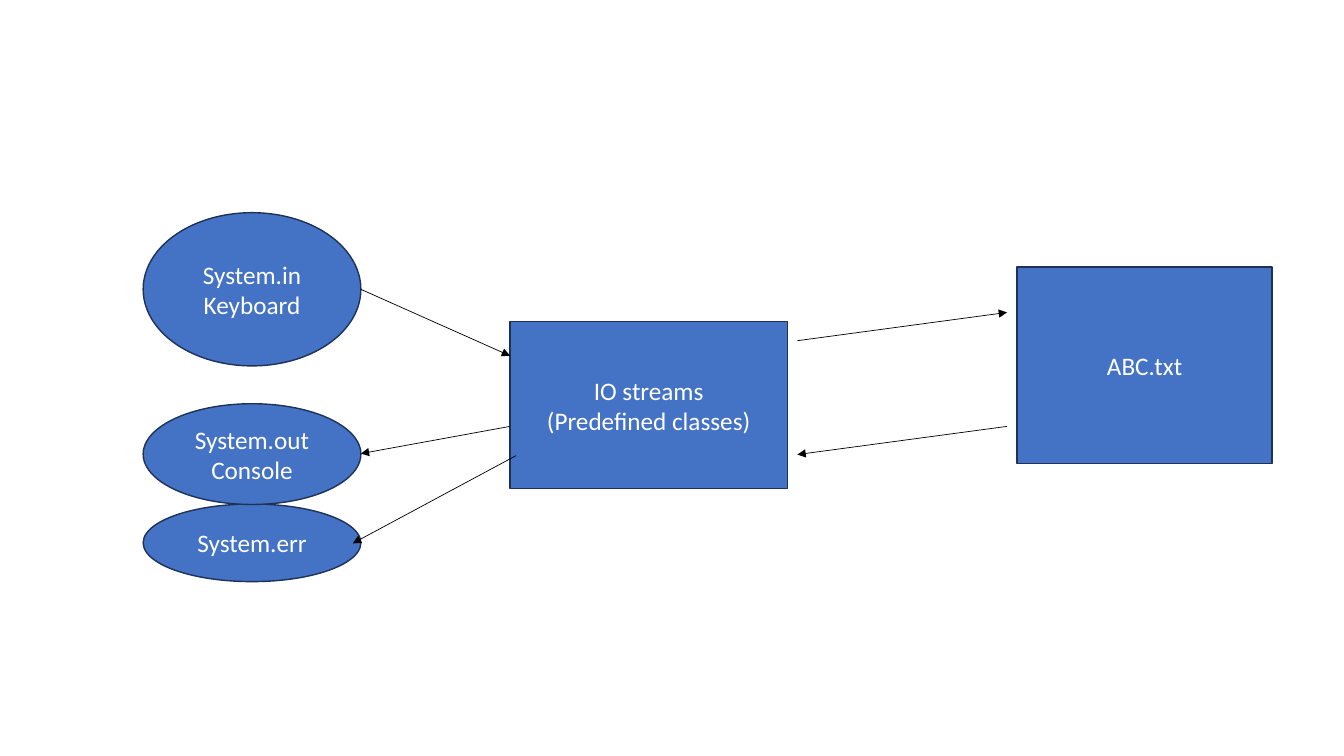
from dataclasses import dataclass

from lxml.etree import SubElement
from pptx import Presentation
from pptx.dml.color import RGBColor
from pptx.enum.shapes import MSO_CONNECTOR as Link, MSO_SHAPE as Form
from pptx.enum.text import MSO_ANCHOR as Anchor, PP_ALIGN as Align
from pptx.oxml.ns import qn
from pptx.slide import Slide
from pptx.util import Inches, Pt

WIDE, HIGH = Inches(13.33), Inches(7.5)
LEFT, SPAN = 10.65, 16.2
EDGE = LEFT + SPAN
HUB = 37.95
NEAR, FAR = 59.33, 74.93


@dataclass(frozen=True)
class Node:
    text: str
    form: Form
    left: float
    top: float
    width: float
    height: float


@dataclass(frozen=True)
class Arrow:
    start: tuple[float, float]
    end: tuple[float, float]


NODES = [
    Node("IO streams\n(Predefined classes)", Form.RECTANGLE, HUB, 42.53, 20.63, 22.13),
    Node("System.in\nKeyboard", Form.OVAL, LEFT, 28.13, SPAN, 20.27),
    Node("System.err", Form.OVAL, LEFT, 66.67, SPAN, 10.27),
    Node("System.out\nConsole", Form.OVAL, LEFT, 53.4, SPAN, 13.33),
    Node("ABC.txt", Form.RECTANGLE, 75.68, 35.33, 18.98, 26),
]

ARROWS = [
    Arrow((EDGE, 38.27), (HUB, 47.07)),
    Arrow((HUB, 56.4), (EDGE, 60)),
    Arrow((38.4, 60.27), (26.25, 71.87)),
    Arrow((NEAR, 45.07), (FAR, 41.33)),
    Arrow((FAR, 56.4), (NEAR, 60.13)),
]


def color(code: str) -> RGBColor:
    return RGBColor.from_string(code)


def across(share: float) -> int:
    return round(WIDE * share / 100)


def down(share: float) -> int:
    return round(HIGH * share / 100)


def draw_node(slide: Slide, node: Node) -> None:
    shape = slide.shapes.add_shape(
        node.form, across(node.left), down(node.top), across(node.width), down(node.height)
    )
    shape.shadow.inherit = False
    shape.fill.solid()
    shape.fill.fore_color.rgb = color("4472C4")
    shape.line.color.rgb = color("1E3256")
    shape.line.width = Pt(1)
    frame = shape.text_frame
    frame.text = node.text
    frame.word_wrap = True
    frame.vertical_anchor = Anchor.MIDDLE
    for para in frame.paragraphs:
        para.alignment = Align.CENTER
        for run in para.runs:
            run.font.name = "Calibri"
            run.font.size = Pt(18)
            run.font.color.rgb = color("FFFFFF")


def draw_arrow(slide: Slide, arrow: Arrow) -> None:
    (x1, y1), (x2, y2) = arrow.start, arrow.end
    link = slide.shapes.add_connector(
        Link.STRAIGHT, across(x1), down(y1), across(x2), down(y2)
    )
    link.line.color.rgb = color("000000")
    link.line.width = Pt(0.5)
    SubElement(link.line._get_or_add_ln(), qn("a:tailEnd"), type="triangle")
    SubElement(link._element.spPr, qn("a:effectLst"))


def main() -> None:
    deck = Presentation()
    deck.slide_width, deck.slide_height = WIDE, HIGH
    slide = deck.slides.add_slide(deck.slide_layouts[6])
    for node in NODES:
        draw_node(slide, node)
    for arrow in ARROWS:
        draw_arrow(slide, arrow)
    deck.save("out.pptx")


if __name__ == "__main__":
    main()
